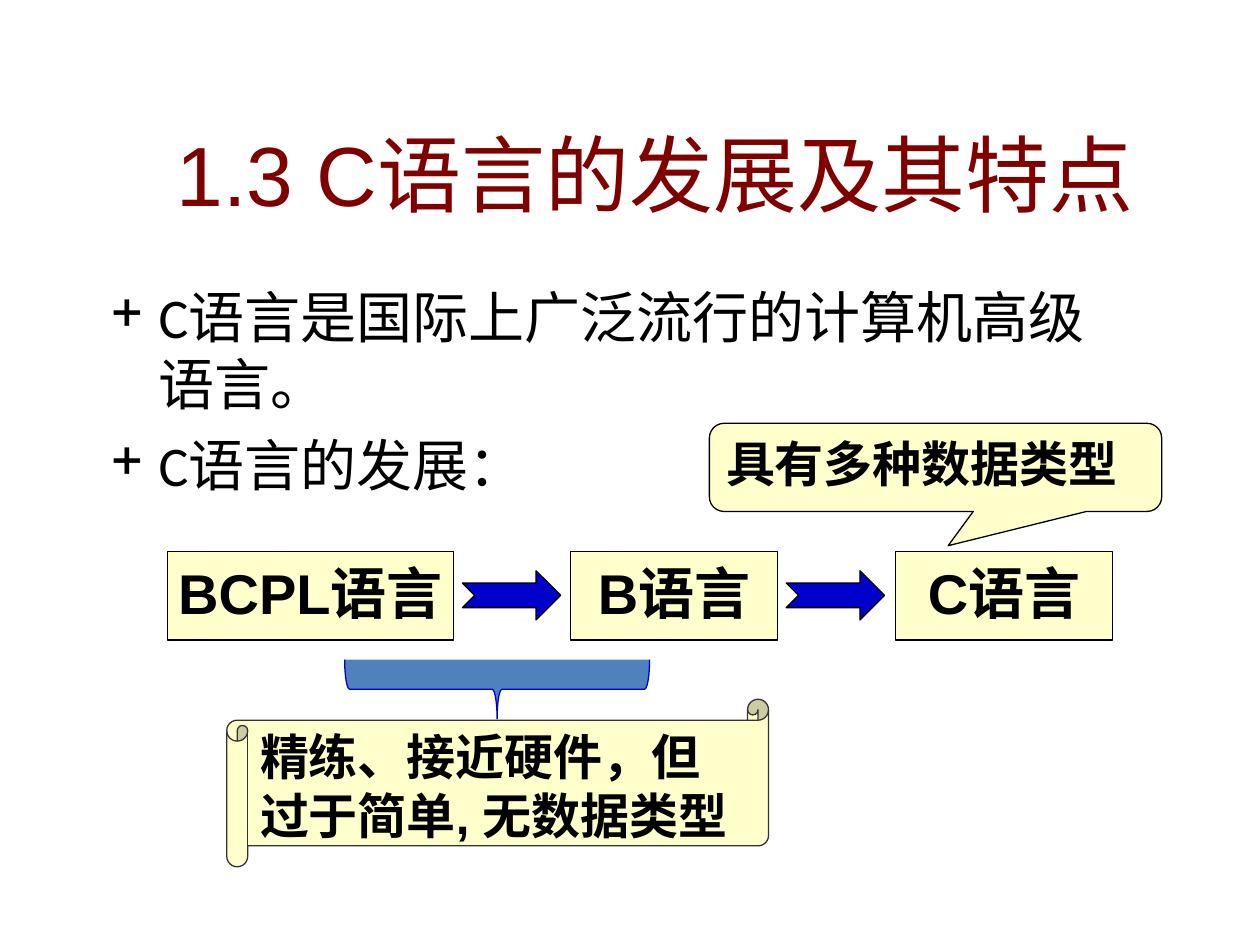
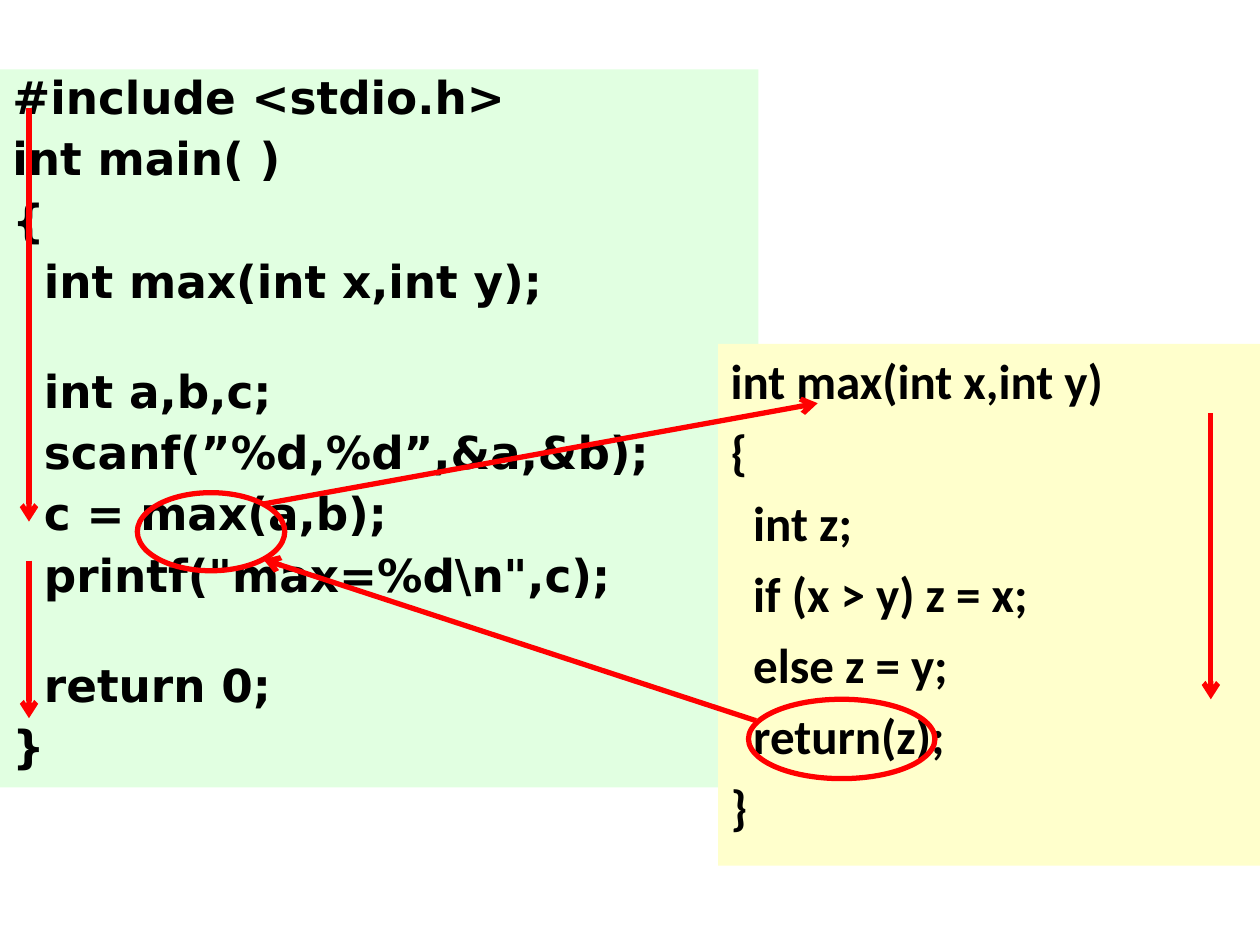
import pptx
import pptx.dml.color
import pptx.enum.shapes
import pptx.enum.text
import pptx.oxml.ns
import pptx.util
from lxml import etree

Inches = pptx.util.Inches
Pt = pptx.util.Pt
RGBColor = pptx.dml.color.RGBColor
KIND = pptx.enum.shapes.MSO_SHAPE
ALIGN = pptx.enum.text.PP_ALIGN
ANCHOR = pptx.enum.text.MSO_ANCHOR
qn = pptx.oxml.ns.qn

BLACK = RGBColor(0, 0, 0)
GREY = RGBColor(0x33, 0x33, 0x33)
MAROON = RGBColor(0x80, 0, 0)
CREAM = RGBColor(0xFF, 0xFF, 0xCC)
MINT = RGBColor(0xE1, 0xFF, 0xE1)
NAVY = RGBColor(0, 0, 0xCC)
BLUE = RGBColor(0x4F, 0x81, 0xBD)
RED = RGBColor(0xFF, 0, 0)


def add_slide(deck):
    return deck.slides.add_slide(deck.slide_layouts[6])


def add_line(par, text, size, font, color=BLACK, bold=False):
    run = par.add_run()
    run.text = text
    run.font.size = Pt(size)
    run.font.name = font
    run.font.bold = bold
    run.font.color.rgb = color


def get_par(frame, num):
    return frame.paragraphs[0] if num == 0 else frame.add_paragraph()


def add_shape(slide, kind, box, fill=None, line=None, width=0.75):
    shape = slide.shapes.add_shape(kind, *map(Inches, box))
    shape.shadow.inherit = False
    if fill is None:
        shape.fill.background()
    else:
        shape.fill.solid()
        shape.fill.fore_color.rgb = fill
    if line is None:
        shape.line.fill.background()
    else:
        shape.line.color.rgb = line
        shape.line.width = Pt(width)
    return shape


def add_label(shape, lines, size, align=ALIGN.LEFT):
    """Write bold lines from the top of a shape, without wrapping."""
    frame = shape.text_frame
    frame.word_wrap = False
    frame.vertical_anchor = ANCHOR.TOP
    for num, text in enumerate(lines):
        par = get_par(frame, num)
        par.alignment = align
        add_line(par, text, size, "Arial", bold=True)


def add_title(slide, text):
    frame = slide.shapes.add_textbox(*map(Inches, (1.02, 0.86, 8.36, 1.03))).text_frame
    frame.word_wrap = True
    frame.vertical_anchor = ANCHOR.MIDDLE
    par = frame.paragraphs[0]
    par.alignment = ALIGN.CENTER
    add_line(par, text, 48, "Arial", MAROON)


def add_list(slide, box, items):
    frame = slide.shapes.add_textbox(*map(Inches, box)).text_frame
    frame.word_wrap = True
    for num, text in enumerate(items):
        par = get_par(frame, num)
        par.space_before = Pt(8)
        add_line(par, text, 32, "Calibri")
        props = par._p.get_or_add_pPr()
        props.set("marL", str(Inches(0.38)))
        props.set("indent", str(-Inches(0.38)))
        etree.SubElement(props, qn("a:buChar")).set("char", "+")


def add_code(slide, box, fill, lines, size, font, step, pitch=1.0):
    """Fill a panel with code; each line is (level, gap before, text)."""
    frame = add_shape(slide, KIND.RECTANGLE, box, fill).text_frame
    frame.word_wrap = True
    frame.vertical_anchor = ANCHOR.TOP
    for num, (level, gap, text) in enumerate(lines):
        par = get_par(frame, num)
        par.alignment = ALIGN.LEFT
        par.line_spacing = pitch
        par.space_before = Pt(gap)
        par._p.get_or_add_pPr().set("marL", str(Inches(level * step)))
        add_line(par, text, size, font, bold=True)


def add_arrow(slide, start, end):
    line = slide.shapes.add_connector(
        pptx.enum.shapes.MSO_CONNECTOR.STRAIGHT, *map(Inches, start + end))
    line.line.color.rgb = RED
    line.line.width = Pt(3)
    etree.SubElement(line.line._get_or_add_ln(), qn("a:tailEnd")).set("type", "arrow")
    etree.SubElement(line._element.spPr, qn("a:effectLst"))


def add_ring(slide, box):
    add_shape(slide, KIND.FLOWCHART_CONNECTOR, box, line=RED, width=3)


def draw_history(slide):
    add_title(slide, "1.3 C语言的发展及其特点")
    add_list(slide, (0.78, 2.19, 8.35, 2.34),
             ["C语言是国际上广泛流行的计算机高级语言。", "C语言的发展："])

    stages = [(1.33, 2.27, "BCPL语言"), (4.53, 1.64, "B语言"), (7.11, 1.72, "C语言")]
    for left, width, name in stages:
        stage = add_shape(slide, KIND.FLOWCHART_PROCESS,
                          (left, 4.38, width, 0.7), CREAM, BLACK)
        add_label(stage, [name], 32, ALIGN.CENTER)
    for left, width, _ in stages[:-1]:
        add_shape(slide, KIND.NOTCHED_RIGHT_ARROW,
                  (left + width + 0.07, 4.53, 0.78, 0.39), NAVY, BLACK)

    brace = add_shape(slide, KIND.RIGHT_BRACE, (3.71, 4.26, 0.47, 2.42), BLUE, NAVY)
    brace.rotation = 90
    scroll = add_shape(slide, KIND.HORIZONTAL_SCROLL, (1.8, 5.55, 4.3, 1.33), CREAM, GREY)
    add_label(scroll, ["精练、接近硬件，但", "过于简单, 无数据类型"], 28)
    note = add_shape(slide, KIND.ROUNDED_RECTANGULAR_CALLOUT,
                     (5.63, 3.36, 3.59, 0.7), CREAM, BLACK)
    note.adjustments[0] = 0.028
    note.adjustments[1] = 0.888
    add_label(note, ["具有多种数据类型"], 28)


def draw_call(slide):
    add_code(slide, (0, 0.55, 6.02, 5.7), MINT, [
        (0, 7, "#include <stdio.h>"),
        (0, 7, "int main( )"),
        (0, 7, "{"),
        (1, 7, "int max(int x,int y);"),
        (1, 35, "int a,b,c;"),
        (1, 7, "scanf(”%d,%d”,&a,&b);"),
        (1, 7, "c = max(a,b);"),
        (1, 7, "printf(\"max=%d\\n\",c);"),
        (1, 35, "return 0;"),
        (0, 7, "}"),
    ], 25.9, "DejaVu Sans", 0.25, 0.9)
    add_code(slide, (5.7, 2.73, 4.3, 4.14), CREAM, [
        (0, 7, "int max(int x,int y)"),
        (0, 7, "{"),
        (1, 7, "int z;"),
        (1, 7, "if (x > y) z = x;"),
        (1, 7, "else z = y;"),
        (1, 7, "return(z);"),
        (0, 7, "}"),
    ], 28, "Calibri", 0.18)

    add_arrow(slide, (0.23, 0.86), (0.23, 4.14))
    add_ring(slide, (1.09, 3.91, 1.17, 0.62))
    add_arrow(slide, (2.09, 4), (6.49, 3.2))
    add_arrow(slide, (9.61, 3.28), (9.61, 5.55))
    add_ring(slide, (5.94, 5.55, 1.48, 0.63))
    add_arrow(slide, (6, 5.72), (2.09, 4.44))
    add_arrow(slide, (0.23, 4.45), (0.23, 5.7))


def main():
    deck = pptx.Presentation()
    deck.slide_width = Inches(10)
    deck.slide_height = Inches(7.5)
    draw_history(add_slide(deck))
    draw_call(add_slide(deck))
    deck.save("out.pptx")


if __name__ == "__main__":
    main()
